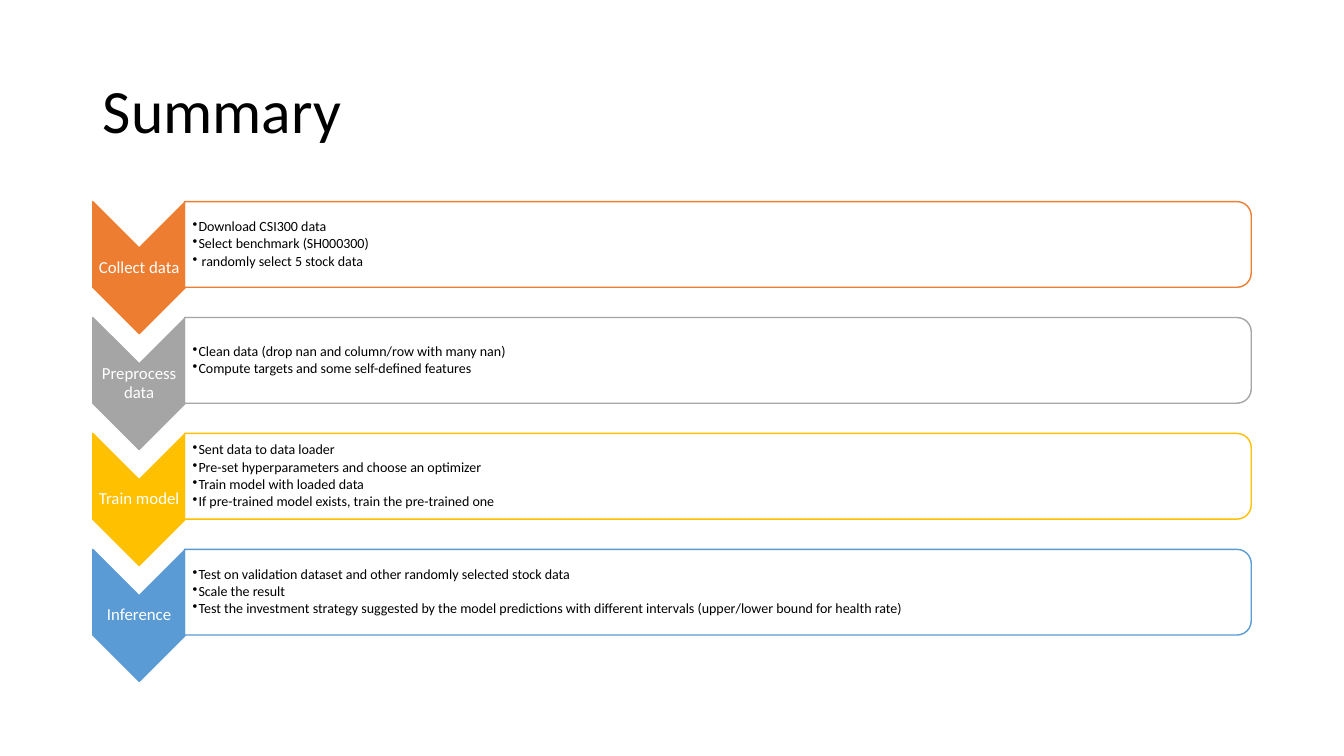
from dataclasses import dataclass

from lxml.etree import SubElement
from pptx import Presentation
from pptx.dml.color import RGBColor
from pptx.enum.shapes import MSO_SHAPE
from pptx.enum.text import MSO_ANCHOR, PP_ALIGN
from pptx.oxml.ns import qn
from pptx.shapes.autoshape import Shape
from pptx.slide import Slide
from pptx.text.text import TextFrame, _Paragraph
from pptx.util import Inches, Pt


@dataclass(frozen=True)
class Theme:
    font: str = "Calibri"
    text: str = "000000"
    light: str = "FFFFFF"
    title_size: float = 44
    label_size: float = 12
    bullet_size: float = 10
    line_width: float = 1
    line_spacing: float = 0.9


@dataclass(frozen=True)
class Step:
    label: str
    color: str
    bullets: tuple[str, ...]


THEME = Theme()
FIRST_TOP = 2.0
STEP_PITCH = 1.15
CHEVRON_LEFT, CHEVRON_WIDTH, CHEVRON_HEIGHT = 0.92, 0.92, 1.31
PANEL_LEFT, PANEL_WIDTH, PANEL_HEIGHT = 1.83, 10.58, 0.85
PANEL_OPACITY = 90
BULLET_INDENT = 0.06

STEPS = (
    Step("Collect data", "ED7D31", (
        "Download CSI300 data",
        "Select benchmark (SH000300)",
        " randomly select 5 stock data",
    )),
    Step("Preprocess data", "A5A5A5", (
        "Clean data (drop nan and column/row with many nan)",
        "Compute targets and some self-defined features",
    )),
    Step("Train model", "FFC000", (
        "Sent data to data loader",
        "Pre-set hyperparameters and choose an optimizer",
        "Train model with loaded data",
        "If pre-trained model exists, train the pre-trained one",
    )),
    Step("Inference", "5B9BD5", (
        "Test on validation dataset and other randomly selected stock data",
        "Scale the result",
        "Test the investment strategy suggested by the model predictions "
        "with different intervals (upper/lower bound for health rate)",
    )),
)


def format_paragraph(paragraph: _Paragraph, size: float, color: str,
                     alignment: PP_ALIGN, space_after: float = 0) -> None:
    paragraph.alignment = alignment
    paragraph.line_spacing = THEME.line_spacing
    paragraph.space_before = Pt(0)
    paragraph.space_after = Pt(space_after)
    paragraph.font.name = THEME.font
    paragraph.font.size = Pt(size)
    paragraph.font.color.rgb = RGBColor.from_string(color)


def add_bullet(paragraph: _Paragraph) -> None:
    properties = paragraph._p.get_or_add_pPr()
    properties.set("marL", str(Inches(BULLET_INDENT)))
    properties.set("indent", str(-Inches(BULLET_INDENT)))
    SubElement(properties, qn("a:buChar"), char="•")


def add_turned_shape(slide: Slide, kind: MSO_SHAPE, left: float, top: float,
                     width: float, height: float, fill: str, line: str) -> Shape:
    shape = slide.shapes.add_shape(
        kind,
        Inches(left + (width - height) / 2),
        Inches(top + (height - width) / 2),
        Inches(height),
        Inches(width),
    )
    shape.rotation = 90
    shape.shadow.inherit = False
    shape.fill.solid()
    shape.fill.fore_color.rgb = RGBColor.from_string(fill)
    shape.line.color.rgb = RGBColor.from_string(line)
    shape.line.width = Pt(THEME.line_width)
    return shape


def add_text_box(slide: Slide, left: float, top: float, width: float,
                 height: float, left_margin: float) -> TextFrame:
    box = slide.shapes.add_textbox(
        Inches(left), Inches(top), Inches(width), Inches(height))
    frame = box.text_frame
    frame.word_wrap = True
    frame.vertical_anchor = MSO_ANCHOR.MIDDLE
    frame.margin_left = Inches(left_margin)
    frame.margin_top = frame.margin_right = frame.margin_bottom = Inches(0.01)
    return frame


def add_step(slide: Slide, step: Step, top: float) -> None:
    add_turned_shape(slide, MSO_SHAPE.CHEVRON, CHEVRON_LEFT, top,
                     CHEVRON_WIDTH, CHEVRON_HEIGHT, step.color, step.color)
    label = add_text_box(slide, CHEVRON_LEFT, top + 0.46, CHEVRON_WIDTH, 0.39, 0.01)
    label.text = step.label
    format_paragraph(label.paragraphs[0], THEME.label_size, THEME.light,
                     PP_ALIGN.CENTER, 0.35 * THEME.label_size)

    panel = add_turned_shape(slide, MSO_SHAPE.ROUND_2_SAME_RECTANGLE, PANEL_LEFT, top,
                             PANEL_WIDTH, PANEL_HEIGHT, THEME.light, step.color)
    fill_color = panel.fill._xPr.find(qn("a:solidFill"))[0]
    SubElement(fill_color, qn("a:alpha"), val=str(PANEL_OPACITY * 1000))
    details = add_text_box(slide, PANEL_LEFT, top + 0.04, 10.54, 0.77, 0.08)
    details.text = "\n".join(step.bullets)
    for paragraph in details.paragraphs:
        paragraph.level = 1
        add_bullet(paragraph)
        format_paragraph(paragraph, THEME.bullet_size, THEME.text,
                         PP_ALIGN.LEFT, 0.15 * THEME.bullet_size)


def add_title(slide: Slide, text: str) -> None:
    title = slide.shapes.title
    title.left, title.top = Inches(0.92), Inches(0.4)
    title.width, title.height = Inches(11.5), Inches(1.45)
    title.text_frame.text = text
    title.text_frame.vertical_anchor = MSO_ANCHOR.MIDDLE
    format_paragraph(title.text_frame.paragraphs[0], THEME.title_size,
                     THEME.text, PP_ALIGN.LEFT)


def main() -> None:
    presentation = Presentation()
    presentation.slide_width = Inches(13.33)
    presentation.slide_height = Inches(7.5)
    slide = presentation.slides.add_slide(presentation.slide_layouts[5])
    add_title(slide, "Summary")
    for index, step in enumerate(STEPS):
        add_step(slide, step, FIRST_TOP + index * STEP_PITCH)
    presentation.save("out.pptx")


if __name__ == "__main__":
    main()
